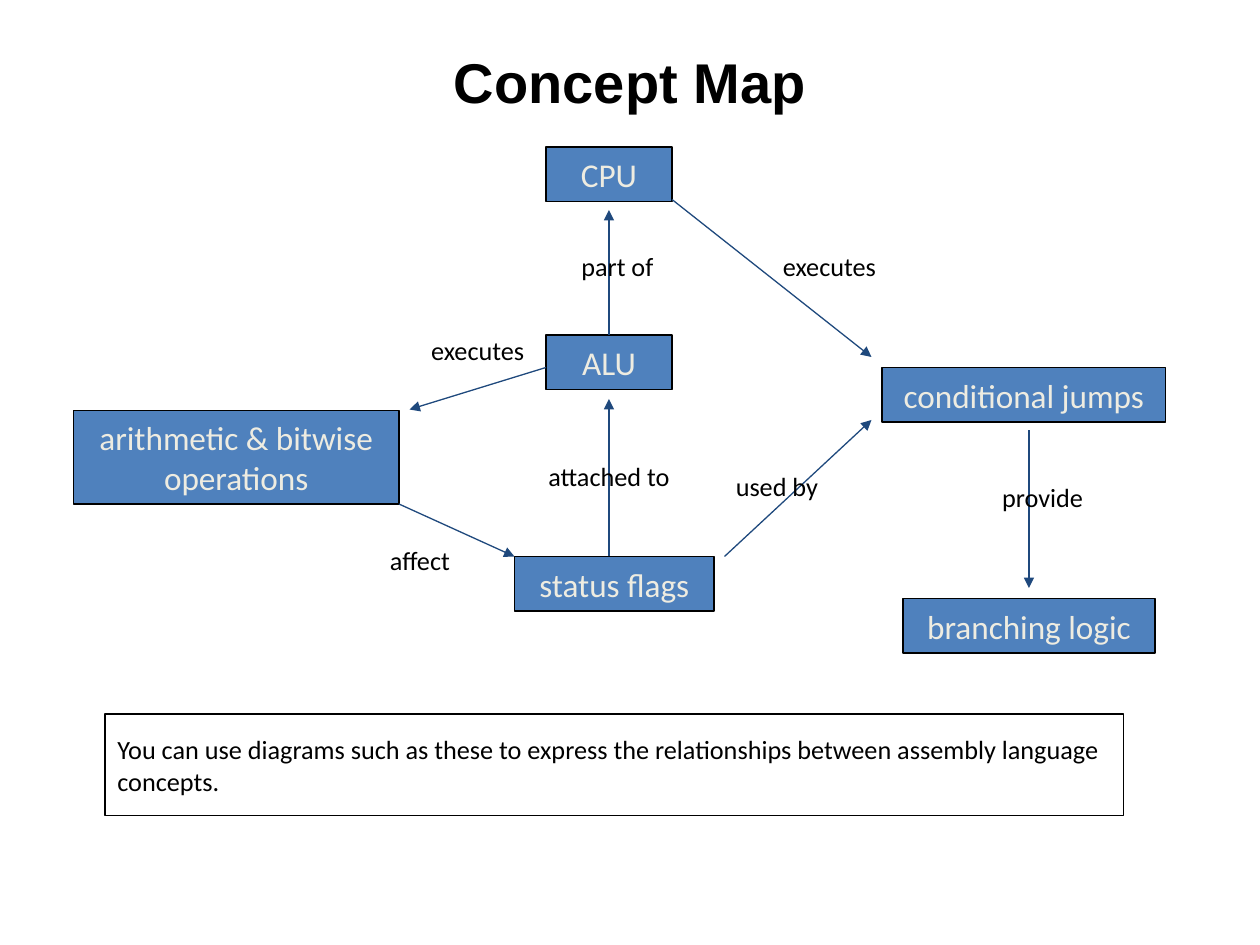
from typing import NamedTuple

from lxml import etree
from pptx import Presentation
from pptx import util as u
from pptx.dml.color import RGBColor
from pptx.enum import shapes, text
from pptx.oxml import ns

PX = 7620  # EMU per px, 120 px to the inch
BLACK, WHITE, BLUE, NAVY, CREAM = "000000", "FFFFFF", "4F81BD", "1F497D", "EEECE1"


class Box(NamedTuple):
    words: str
    x: int
    y: int
    w: int
    h: int = 52


class Arrow(NamedTuple):
    x1: int
    y1: int
    x2: int
    y2: int
    root: str = ""  # concept whose top middle the arrow leaves


CONCEPTS = [
    Box("CPU", 520, 140, 120),
    Box("ALU", 520, 319, 120),
    Box("status flags", 490, 530, 190),
    Box("conditional jumps", 840, 350, 270),
    Box("branching logic", 860, 570, 240),
    Box("arithmetic & bitwise operations", 70, 391, 310, 89),
]
ARROWS = [
    Arrow(580, 319, 580, 200, "ALU"),
    Arrow(380, 480, 490, 530),
    Arrow(580, 530, 580, 380),
    Arrow(690, 530, 830, 400),
    Arrow(980, 410, 980, 560),
    Arrow(640, 190, 830, 340),
    Arrow(520, 350, 390, 390),
]
LABELS = [
    Box("part of", 523, 220, 130, 66),
    Box("used by", 620, 430, 240, 66),
    Box("provide", 873, 440, 240, 66),
    Box("attached to", 460, 420, 240, 66),
    Box("affect", 280, 500, 240, 66),
    Box("executes", 670, 220, 240, 66),
    Box("executes", 380, 300, 150, 66),
]
TITLE = Box("Concept Map", 60, 20, 1080, 114)
NOTE = Box("You can use diagrams such as these to express the relationships "
           "between assembly language concepts.", 100, 680, 970, 97)


def px(*vals: int) -> list[u.Emu]:
    return [u.Emu(v * PX) for v in vals]


def rgb(code: str) -> RGBColor:
    return RGBColor.from_string(code)


def write(shape, words: str, size: int, color: str, pad: tuple[int, int] = (12, 18),
          align=text.PP_ALIGN.CENTER, font: str = "Calibri", bold: bool = False) -> None:
    frame = shape.text_frame
    frame.word_wrap = True
    frame.vertical_anchor = text.MSO_ANCHOR.MIDDLE
    frame.margin_left, frame.margin_top = px(*pad)
    frame.margin_right, frame.margin_bottom = px(*pad)
    par = frame.paragraphs[0]
    par.text = words
    par.alignment = align
    par.font.size = u.Pt(size)
    par.font.name = font
    par.font.bold = bold
    par.font.color.rgb = rgb(color)


def add_rect(slide, box: Box, fill: str = ""):
    rect = slide.shapes.add_shape(shapes.MSO_SHAPE.RECTANGLE, *px(*box[1:]))
    rect.shadow.inherit = False
    if fill:
        rect.fill.solid()
        rect.fill.fore_color.rgb = rgb(fill)
    else:
        rect.fill.background()
    rect.line.color.rgb = rgb(BLACK)
    rect.line.width = u.Pt(0.75)
    return rect


def add_text(slide, box: Box, size: int, **style) -> None:
    write(slide.shapes.add_textbox(*px(*box[1:])), box.words, size, BLACK, **style)


def add_arrow(slide, arrow: Arrow, nodes: dict) -> None:
    line = slide.shapes.add_connector(shapes.MSO_CONNECTOR.STRAIGHT, *px(*arrow[:4]))
    if arrow.root:
        line.begin_connect(nodes[arrow.root], 0)
    line.line.color.rgb = rgb(NAVY)
    line.line.width = u.Pt(0.75)
    etree.SubElement(line.line._get_or_add_ln(), ns.qn("a:tailEnd"), type="triangle")
    etree.SubElement(line._element.spPr, ns.qn("a:effectLst"))


def main() -> None:
    deck = Presentation()
    deck.slide_width, deck.slide_height = px(1200, 900)
    slide = deck.slides.add_slide(deck.slide_layouts[6])
    slide.background.fill.solid()
    slide.background.fill.fore_color.rgb = rgb(WHITE)

    add_text(slide, TITLE, 32, font="Arial", bold=True)
    nodes = {}
    for box in CONCEPTS:
        nodes[box.words] = add_rect(slide, box, BLUE)
        write(nodes[box.words], box.words, 19, CREAM, pad=(6, 6))
    for arrow in ARROWS:
        add_arrow(slide, arrow, nodes)
    for box in LABELS:
        add_text(slide, box, 15)
    write(add_rect(slide, NOTE), NOTE.words, 15, BLACK, align=text.PP_ALIGN.LEFT)
    deck.save("out.pptx")


if __name__ == "__main__":
    main()
